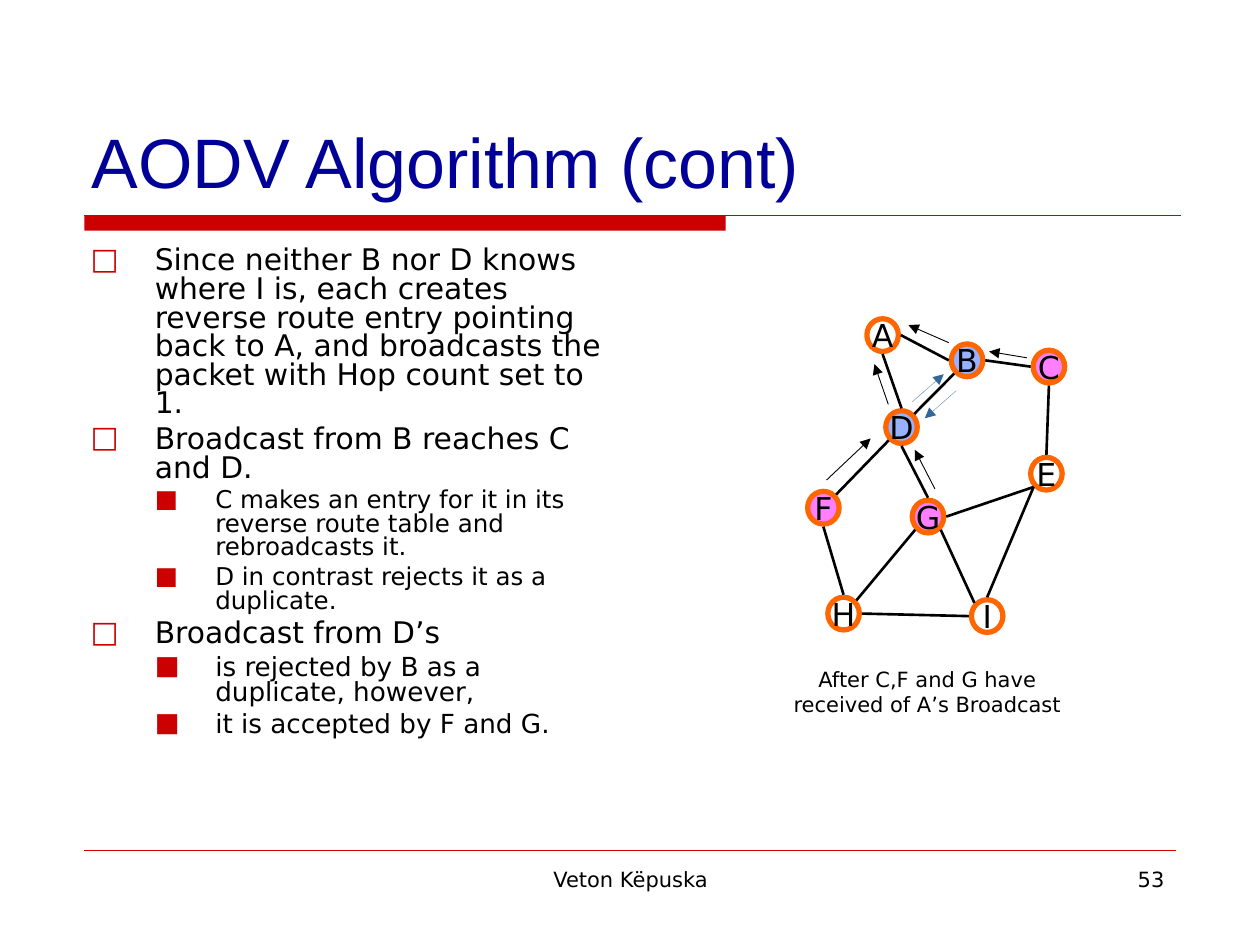
from lxml import etree
from pptx import Presentation
from pptx.dml.color import RGBColor
from pptx.enum.dml import MSO_LINE
from pptx.enum.shapes import MSO_CONNECTOR, MSO_SHAPE
from pptx.enum.text import MSO_ANCHOR, PP_ALIGN
from pptx.oxml.ns import qn
from pptx.util import Emu, Pt

STRAIGHT = MSO_CONNECTOR.STRAIGHT
OVAL, RECTANGLE = MSO_SHAPE.OVAL, MSO_SHAPE.RECTANGLE
LEFT, CENTER, RIGHT = PP_ALIGN.LEFT, PP_ALIGN.CENTER, PP_ALIGN.RIGHT
TOP, MIDDLE, BOTTOM = MSO_ANCHOR.TOP, MSO_ANCHOR.MIDDLE, MSO_ANCHOR.BOTTOM
DOTTED = MSO_LINE.ROUND_DOT

EMU_PER_PX = 9144
HEADING_FONT, BODY_FONT = "Arial", "DejaVu Sans"
BLACK = RGBColor(0x00, 0x00, 0x00)
WHITE = RGBColor(0xFF, 0xFF, 0xFF)
NAVY = RGBColor(0x00, 0x00, 0x99)
RED = RGBColor(0xCC, 0x00, 0x00)
ORANGE = RGBColor(0xFF, 0x66, 0x00)
BLUE = RGBColor(0x33, 0x66, 0xFF)
MAGENTA = RGBColor(0xFF, 0x00, 0xFF)
STEEL = RGBColor(0x33, 0x66, 0x99)

BODY = [
    (0, 17, "Since neither B nor D knows where I is, each creates reverse route entry "
            "pointing back to A, and broadcasts the packet with Hop count set to 1."),
    (0, 17, "Broadcast from B reaches C and D."),
    (1, 14, "C makes an entry for it in its reverse route table and rebroadcasts it."),
    (1, 14, "D in contrast rejects it as a duplicate."),
    (0, 17, "Broadcast from D’s"),
    (1, 15, "is rejected by B as a duplicate, however,"),
    (1, 15, "it is accepted by F and G."),
]
LEVELS = [("□", 51, 51), ("■", 99, 48)]

NODE_WIDTH, NODE_HEIGHT, NODE_GAP = 25, 26, 2
NODES = {
    "A": (47, 0, WHITE), "B": (114, 20, BLUE), "C": (179, 25, MAGENTA),
    "D": (62, 73, BLUE), "G": (83, 144, MAGENTA), "E": (177, 110, WHITE),
    "F": (0, 137, MAGENTA), "H": (16, 221, WHITE), "I": (130, 223, WHITE),
}
SIDES = {
    "N": (0, -1), "S": (0, 1), "W": (-1, 0), "E": (1, 0),
    "NW": (-0.7, -0.7), "NE": (0.7, -0.7), "SW": (-0.7, 0.7), "SE": (0.7, 0.7),
}
LINKS = [
    ("A", "E", "B", "W"), ("A", "S", "D", "N"), ("B", "SW", "D", "NE"),
    ("B", "E", "C", "W"), ("E", "N", "C", "S"), ("E", "SW", "I", "N"),
    ("D", "S", "G", "N"), ("I", "NW", "G", "SE"), ("I", "W", "H", "E"),
    ("H", "NE", "G", "SW"), ("H", "N", "F", "S"), ("F", "NE", "D", "SW"),
    ("G", "E", "E", "SW"),
]
ROUTE_ARROWS = [
    (112, 19, 80, 5), (64, 68, 53, 36), (15, 128, 50, 95),
    (101, 135, 85, 104), (174, 31, 144, 26),
]
REJECTED_ARROWS = [(83, 66, 108, 44), (118, 57, 93, 79)]


def px(value):
    """Turn px into EMU."""
    return Emu(round(value * EMU_PER_PX))


def add_run(paragraph, text, size, color=BLACK, font=BODY_FONT):
    """Add one formatted run."""
    run = paragraph.add_run()
    run.text = text
    run.font.size = Pt(size)
    run.font.name = font
    run.font.color.rgb = color


def add_text_frame(slide, box, anchor=TOP):
    """Add a wrapping text box and return its frame."""
    frame = slide.shapes.add_textbox(*map(px, box)).text_frame
    frame.word_wrap = True
    frame.vertical_anchor = anchor
    return frame


def add_label(slide, box, text, size, align=LEFT, anchor=TOP, color=BLACK, font=BODY_FONT):
    """Add a text box with a single paragraph."""
    paragraph = add_text_frame(slide, box, anchor).paragraphs[0]
    paragraph.alignment = align
    add_run(paragraph, text, size, color, font)


def add_line(slide, ends, color, width, arrow=False, dash=None):
    """Add a straight line, with an optional arrowhead at its end."""
    connector = slide.shapes.add_connector(STRAIGHT, *map(px, ends))
    connector.line.color.rgb = color
    connector.line.width = Pt(width)
    if dash is not None:
        connector.line.dash_style = dash
    if arrow:
        etree.SubElement(connector.line._get_or_add_ln(), qn("a:tailEnd"), type="triangle")
    etree.SubElement(connector._element.spPr, qn("a:effectLst"))


def add_header(slide, box):
    """Add the title and the rule below it."""
    left, top, width, height = box
    rule_left, rule_top = left + 4, top + height + 5
    bar = slide.shapes.add_shape(RECTANGLE, *map(px, (rule_left, rule_top, 509, 12)))
    bar.shadow.inherit = False
    bar.fill.solid()
    bar.fill.fore_color.rgb = RED
    bar.line.fill.background()
    add_line(slide, (rule_left, rule_top, rule_left + 870, rule_top), RED, 0.75)
    add_label(slide, box, "AODV Algorithm (cont)", 40, anchor=BOTTOM,
              color=NAVY, font=HEADING_FONT)


def add_footer(slide, box):
    """Add the bottom rule, the author and the slide number."""
    left, top, width, height = box
    add_line(slide, (left, top, left + width, top), RED, 0.25)
    text_top, text_height = top + 8, height - 8
    add_label(slide, (left + 275, text_top, 317, text_height), "Veton Këpuska", 12, CENTER)
    add_label(slide, (left + width - 216, text_top, 217, text_height), "53", 12, RIGHT)


def set_bullet(paragraph, level):
    """Give a paragraph the bullet and indent of its level."""
    character, margin, hanging = LEVELS[level]
    properties = paragraph._p.get_or_add_pPr()
    properties.set("marL", str(px(margin)))
    properties.set("indent", str(-px(hanging)))
    color = etree.SubElement(properties, qn("a:buClr"))
    etree.SubElement(color, qn("a:srgbClr"), val=str(RED))
    etree.SubElement(properties, qn("a:buFont"), typeface=BODY_FONT)
    etree.SubElement(properties, qn("a:buChar"), char=character)


def add_body(slide, box):
    """Add the bulleted explanation."""
    frame = add_text_frame(slide, box)
    for index, (level, size, text) in enumerate(BODY):
        paragraph = frame.add_paragraph() if index else frame.paragraphs[0]
        set_bullet(paragraph, level)
        paragraph.level = level
        paragraph.line_spacing = 0.8
        paragraph.space_before = Pt(round(size / 4, 1) if index else 0)
        add_run(paragraph, text, size)


def add_node(slide, left, top, name, color):
    """Add one network node."""
    node = slide.shapes.add_shape(OVAL, *map(px, (left, top, NODE_WIDTH, NODE_HEIGHT)))
    node.shadow.inherit = False
    node.fill.solid()
    node.fill.fore_color.rgb = color
    if color != WHITE:
        tint = node.fill._xPr.find(qn("a:solidFill"))[0]
        etree.SubElement(tint, qn("a:alpha"), val="50000")
    node.line.color.rgb = ORANGE
    node.line.width = Pt(3)
    frame = node.text_frame
    frame.word_wrap = False
    frame.vertical_anchor = MIDDLE
    frame.paragraphs[0].alignment = CENTER
    add_run(frame.paragraphs[0], name, 18)


def find_node_edge(name, side):
    """Return the point just outside a node on the given side."""
    left, top, _ = NODES[name]
    across, down = SIDES[side]
    return (left + NODE_WIDTH / 2 + across * (NODE_WIDTH / 2 + NODE_GAP),
            top + NODE_HEIGHT / 2 + down * (NODE_HEIGHT / 2 + NODE_GAP))


def add_network(slide, box):
    """Add the nodes, links, route arrows and caption."""
    left, top, width, height = box

    def place(ends):
        """Move line ends into the box."""
        return tuple(value + offset for value, offset in zip(ends, (left, top) * 2))

    for name, (across, down, color) in NODES.items():
        add_node(slide, left + across, top + down, name, color)
    for start, start_side, end, end_side in LINKS:
        ends = find_node_edge(start, start_side) + find_node_edge(end, end_side)
        add_line(slide, place(ends), BLACK, 1.5)
    for ends in ROUTE_ARROWS:
        add_line(slide, place(ends), BLACK, 0.5, arrow=True)
    for ends in REJECTED_ARROWS:
        add_line(slide, place(ends), STEEL, 0.25, arrow=True, dash=DOTTED)
    add_label(slide, (left - 23, top + height - 50, 236, 50),
              "After C,F and G have received of A’s Broadcast", 12, CENTER)


def main():
    """Build and save the slide."""
    presentation = Presentation()
    presentation.slide_width, presentation.slide_height = px(1000), px(750)
    slide = presentation.slides.add_slide(presentation.slide_layouts[6])
    add_header(slide, (63, 33, 875, 133))
    add_footer(slide, (67, 675, 866, 60))
    add_body(slide, (62, 192, 429, 467))
    add_network(slide, (641, 253, 204, 321))
    presentation.save("out.pptx")


if __name__ == "__main__":
    main()
